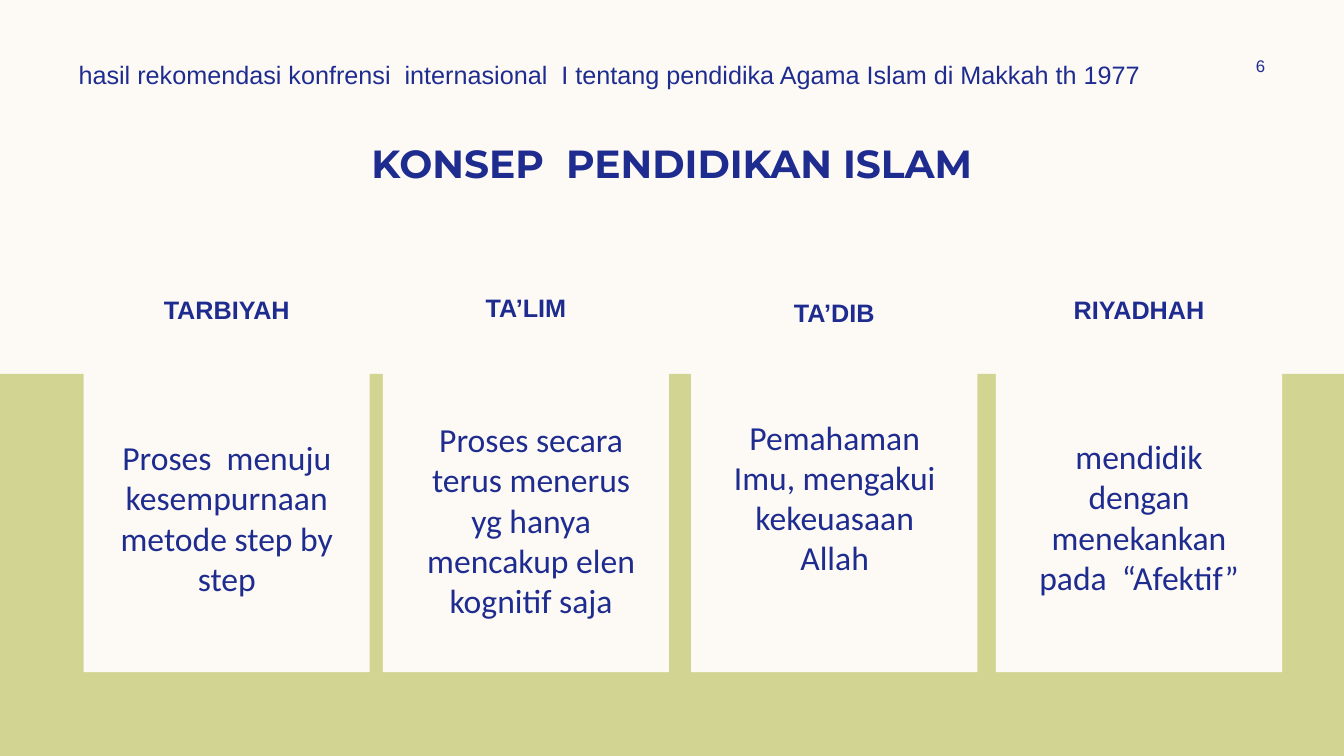
from pptx import Presentation
from pptx.dml.color import RGBColor
from pptx.enum.shapes import MSO_SHAPE as Shape
from pptx.enum.text import MSO_ANCHOR as Anchor, MSO_AUTO_SIZE as AutoSize, PP_ALIGN as Align
from pptx.util import Cm, Pt
from lxml.etree import SubElement
from pptx.oxml.ns import qn

COLORS = {"cream": "FDFAF6", "green": "D2D592", "navy": "1F2C8F"}
WIDTH, HEIGHT = 33.87, 19.05
BAND_TOP = 9.42
CARD_WIDTH, CARD_BOTTOM = 7.21, 16.94
DETAIL_WIDTH, DETAIL_BOTTOM = 6.35, 16.56

CONCEPTS = [
    ("TARBIYAH", "Proses  menuju kesempurnaan metode step by step",
     (2.11, 6.65), (2.54, 9.53), 0.13),
    ("TA’LIM", "Proses secara terus menerus yg hanya mencakup elen kognitif saja",
     (9.65, 6.6), (10.21, 9.63), 0.13),
    ("TA’DIB", "Pemahaman Imu, mengakui kekeuasaan Allah",
     (17.42, 6.73), (17.86, 9.63), 1.27),
    ("RIYADHAH", "mendidik dengan menekankan pada  “Afektif”",
     (25.1, 6.65), (25.53, 9.47), 0.13),
]


class ConceptSlide:
    """Hold the style and the current slide."""

    def __init__(self, presentation):
        """Add a slide with a title and four body placeholders."""
        layout = presentation.slide_layouts.get_by_name("Comparison")
        self.slide = presentation.slides.add_slide(layout)
        self.shapes = self.slide.shapes
        self.bodies = [holder for holder in self.slide.placeholders
                       if holder.placeholder_format.idx > 0]
        fill = self.slide.background.fill
        fill.solid()
        fill.fore_color.rgb = self.color("cream")

    def color(self, name):
        """Return a named colour."""
        return RGBColor.from_string(COLORS[name])

    def set_text(self, shape, text, size, font="Arial", bold=False, align=Align.CENTER,
                 anchor=Anchor.MIDDLE, insets=(0.25, 0.13, 0.25, 0.13), before=0):
        """Put one formatted paragraph into a shape."""
        frame = shape.text_frame
        frame.word_wrap = True
        frame.auto_size = AutoSize.NONE
        frame.vertical_anchor = anchor
        (frame.margin_left, frame.margin_top,
         frame.margin_right, frame.margin_bottom) = map(Cm, insets)
        paragraph = frame.paragraphs[0]
        paragraph.alignment = align
        paragraph.space_before = Pt(before)
        run = paragraph.add_run()
        run.text = text
        run.font.name = font
        run.font.size = Pt(size)
        run.font.bold = bold
        run.font.color.rgb = self.color("navy")
        return paragraph

    def place(self, placeholder, left, top, width, height):
        """Move a placeholder and bring it to the front."""
        placeholder.left, placeholder.top = Cm(left), Cm(top)
        placeholder.width, placeholder.height = Cm(width), Cm(height)
        self.shapes._spTree.append(placeholder._element)

    def rectangle(self, left, top, width, height, color):
        """Add a plain filled rectangle."""
        shape = self.shapes.add_shape(Shape.RECTANGLE, Cm(left), Cm(top), Cm(width), Cm(height))
        shape.shadow.inherit = False
        shape.fill.solid()
        shape.fill.fore_color.rgb = self.color(color)
        shape.line.fill.background()
        return shape

    def title(self, text, left, top, width, height):
        """Fill the title placeholder."""
        self.place(self.shapes.title, left, top, width, height)
        self.set_text(self.shapes.title, text, 28, "Montserrat", bold=True, anchor=Anchor.TOP)

    def label(self, text, left, top, width, height, size, align):
        """Add a text box."""
        box = self.shapes.add_textbox(Cm(left), Cm(top), Cm(width), Cm(height))
        self.set_text(box, text, size, align=align)

    def card(self, heading, left, top):
        """Add a card with its heading."""
        shape = self.rectangle(left, top, CARD_WIDTH, CARD_BOTTOM - top, "cream")
        self.set_text(shape, heading, 18, bold=True, anchor=Anchor.TOP, insets=(0, 0.76, 0, 0.13))

    def detail(self, placeholder, text, left, top, bottom_inset):
        """Fill a body placeholder with an unbulleted description."""
        self.place(placeholder, left, top, DETAIL_WIDTH, DETAIL_BOTTOM - top)
        paragraph = self.set_text(placeholder, text, 24, "Calibri", before=3.6,
                                  insets=(0.25, 0.13, 0.25, bottom_inset))
        properties = paragraph._p.get_or_add_pPr()
        properties.set("marL", "0")
        properties.set("indent", "0")
        SubElement(properties, qn("a:buNone"))


def main():
    """Build and save the presentation."""
    presentation = Presentation()
    presentation.slide_width, presentation.slide_height = Cm(WIDTH), Cm(HEIGHT)
    page = ConceptSlide(presentation)
    page.rectangle(0, BAND_TOP, WIDTH, HEIGHT - BAND_TOP, "green")
    page.title("KONSEP  PENDIDIKAN ISLAM", 2.11, 3.38, 29.64, 2.13)
    for body, concept in zip(page.bodies, CONCEPTS):
        heading, text, card_corner, detail_corner, bottom_inset = concept
        page.card(heading, *card_corner)
        page.detail(body, text, *detail_corner, bottom_inset)
    page.label("hasil rekomendasi konfrensi  internasional  I tentang pendidika "
               "Agama Islam di Makkah th 1977", 1.73, 0.43, 29.82, 2.9, 18, Align.LEFT)
    page.label("6", 30.4, 1.27, 2.74, 0.76, 12, Align.CENTER)
    presentation.save("out.pptx")


if __name__ == "__main__":
    main()
